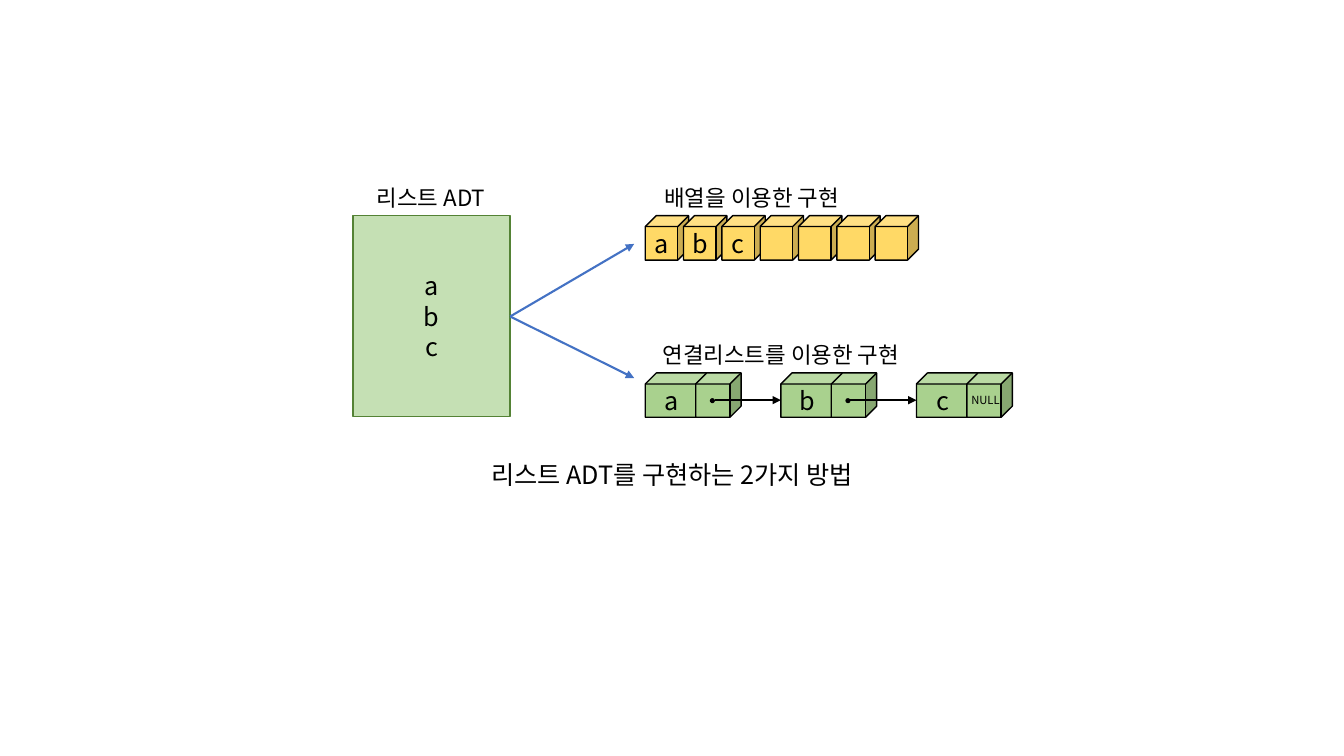
from pptx import Presentation
from pptx.util import Inches, Pt
from pptx.dml.color import RGBColor
from pptx.enum.shapes import MSO_SHAPE, MSO_CONNECTOR
from pptx.enum.text import PP_ALIGN, MSO_ANCHOR
from pptx.oxml.ns import qn
from lxml.etree import SubElement

FONT = "Noto Sans CJK KR"
BLACK, BLUE = "000000", "4472C4"
GOLD, GREEN, PALE, EDGE = "FFD966", "A9D18E", "C5E0B4", "548235"

# Content
ITEMS = ["a", "b", "c"]
SLOTS = 7
LABELS = [  # text, left, top, width, height, size
    ("리스트 ADT", 3.58, 1.77, 1.39, 0.37, 16),
    ("배열을 이용한 구현", 6.23, 1.77, 2.45, 0.37, 16),
    ("연결리스트를 이용한 구현", 6.23, 3.33, 3.03, 0.37, 16),
    ("리스트 ADT를 구현하는 2가지 방법", 3.81, 4.51, 5.71, 0.4, 18),
]
LEFT, ARRAY, CHAIN = 6.4, 2.14, 3.7
HIGH = 0.44

deck = Presentation()
deck.slide_width, deck.slide_height = Inches(13.33), Inches(7.5)
slide = deck.slides.add_slide(deck.slide_layouts[6])


def color(code):
    return RGBColor.from_string(code)


def write(shape, lines, size):
    frame = shape.text_frame
    frame.word_wrap = True
    frame.vertical_anchor = MSO_ANCHOR.MIDDLE
    for i, line in enumerate(lines):
        para = frame.paragraphs[0] if i == 0 else frame.add_paragraph()
        para.alignment = PP_ALIGN.CENTER
        run = para.add_run()
        run.text = line
        run.font.size, run.font.name = Pt(size), FONT
        run.font.color.rgb = color(BLACK)
        SubElement(run.font._element, qn("a:ea")).set("typeface", FONT)


def label(text, x, y, w, h, size):
    box = slide.shapes.add_textbox(*map(Inches, (x, y, w, h)))
    write(box, [text], size)


def draw(kind, x, y, w, h, fill, line=None, lines=()):
    shape = slide.shapes.add_shape(kind, *map(Inches, (x, y, w, h)))
    shape.shadow.inherit = False
    shape.fill.solid()
    shape.fill.fore_color.rgb = color(fill)
    if line:
        shape.line.color.rgb = color(line)
        shape.line.width = Pt(1)
    else:
        shape.line.fill.background()
    frame = shape.text_frame
    frame.margin_left = frame.margin_right = 0
    frame.margin_top = frame.margin_bottom = 0
    write(shape, lines, 18)


def cube(x, y, w, fill, lines=()):
    draw(MSO_SHAPE.CUBE, x, y, w, HIGH, fill, BLACK, lines)


def arrow(x1, y1, x2, y2, code):
    line = slide.shapes.add_connector(
        MSO_CONNECTOR.STRAIGHT, *map(Inches, (x1, y1, x2, y2)))
    line.line.color.rgb = color(code)
    line.line.width = Pt(1.5)
    SubElement(line.line._get_or_add_ln(), qn("a:tailEnd")).set("type", "triangle")
    SubElement(line._element.spPr, qn("a:effectLst"))


# Abstract list
draw(MSO_SHAPE.RECTANGLE, 3.5, 2.14, 1.56, 1.99, PALE, EDGE, ITEMS)

# Array of slots
for i in range(SLOTS):
    cube(LEFT + 0.38 * i, ARRAY, 0.43, GOLD, ITEMS[i:i + 1])

# Branches to the two versions
for y in (2.42, 3.75):
    arrow(5.06, 3.14, 6.29, y, BLUE)

# Linked nodes
STEP = 1.345
for i, item in enumerate(ITEMS):
    x = LEFT + STEP * i
    cube(x, CHAIN, 0.64, GREEN, [item])
    cube(x + 0.5, CHAIN, 0.45, GREEN)
label("NULL", 9.49, 3.85, 0.57, 0.24, 8)

# Links, above all nodes
for i in range(len(ITEMS) - 1):
    x = LEFT + STEP * i
    draw(MSO_SHAPE.OVAL, x + 0.64, 3.95, 0.05, 0.05, BLACK)
    arrow(x + 0.69, 3.97, x + STEP, 3.97, BLACK)

# Captions
for entry in LABELS:
    label(*entry)

deck.save("out.pptx")
